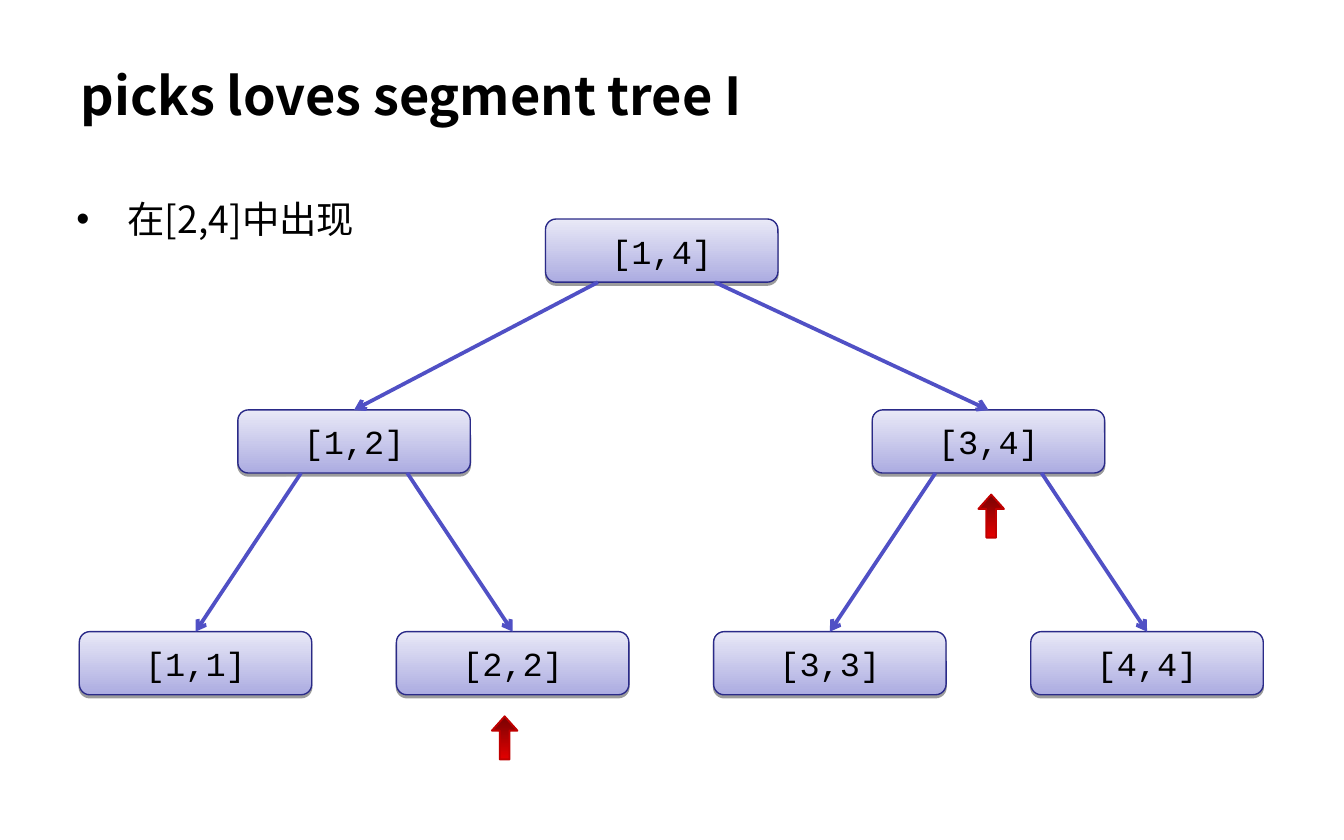
from lxml import etree
from pptx import Presentation
from pptx import util as u
from pptx.dml.color import RGBColor
from pptx.enum import shapes, text
from pptx.oxml import ns

SLIDE_W, SLIDE_H = 10, 6.25
NODE_W, NODE_H = 1.73, 0.47
FIRST_LEFT, COLUMN_STEP = 0.59, 2.36
ROW_TOPS = (1.63, 3.05, 4.7)
MARKER_W, MARKER_H, MARKER_GAP = 0.19, 0.32, 0.16
SANS, MONO = "Noto Sans CJK SC", "Courier New"
BLACK, EDGE, BRANCH, MARKER_EDGE = "000000", "2A2A88", "5050C5", "C00000"
NODE_SHADES, MARKER_SHADES = ("ACACE1", "E9E9F7"), ("760303", "E30000")

NODES = {
    "[1,4]": (1.47, 0),
    "[1,2]": (0.5, 1),
    "[3,4]": (2.5, 1),
    "[1,1]": (0, 2),
    "[2,2]": (1, 2),
    "[3,3]": (2, 2),
    "[4,4]": (3, 2),
}
CHILDREN = {
    "[1,4]": ("[1,2]", "[3,4]"),
    "[1,2]": ("[1,1]", "[2,2]"),
    "[3,4]": ("[3,3]", "[4,4]"),
}
BRANCH_STARTS = {0: (0.39, 1.26), 1: (0.47, 1.26)}
MARKERS = {"[2,2]": 0.71, "[3,4]": 0.79}


def color(value):
    """Turn a hex string into a colour."""
    return RGBColor.from_string(value)


def inches(*lengths):
    """Turn lengths in inches into slide units."""
    return [u.Inches(length) for length in lengths]


def add_xml(parent, tag, **attributes):
    """Append a drawing element with its attributes."""
    return etree.SubElement(parent, ns.qn(tag), attributes)


def apply(target, values):
    """Set attributes from a dict of format values."""
    for name, value in values.items():
        setattr(target, name, value)


def write(frame, words, size, face, align, bold=False, anchor=text.MSO_ANCHOR.MIDDLE):
    """Write one formatted paragraph into a text frame."""
    apply(frame, {"word_wrap": True, "auto_size": text.MSO_AUTO_SIZE.NONE,
                  "vertical_anchor": anchor})
    paragraph = frame.paragraphs[0]
    paragraph.alignment = align
    run = paragraph.add_run()
    run.text = words
    apply(run.font, {"size": u.Pt(size), "name": face, "bold": bold})
    run.font.color.rgb = color(BLACK)
    add_xml(run.font._element, "a:ea", typeface=face)
    return paragraph


def paint(shape, shades, angle, edge, width):
    """Give a shape a two-stop gradient and an outline without a shadow."""
    shape.fill.gradient()
    shape.fill.gradient_angle = angle
    for stop, shade in zip(shape.fill.gradient_stops, shades):
        stop.color.rgb = color(shade)
    shape.line.color.rgb = color(edge)
    shape.line.width = u.Pt(width)
    shape.shadow.inherit = False


def add_title(slide, words):
    """Place and fill the title."""
    title = slide.shapes.title
    place = inches(0.05 * SLIDE_W, 0.04 * SLIDE_H, 0.9 * SLIDE_W, 0.91)
    apply(title, dict(zip(("left", "top", "width", "height"), place)))
    write(title.text_frame, words, 28, SANS, text.PP_ALIGN.LEFT, bold=True)


def add_bullet(slide, words):
    """Add the bulleted remark beside the tree."""
    remark = slide.shapes.add_textbox(*inches(0.47, 1.41, 2.48, 4.27))
    paragraph = write(remark.text_frame, words, 20, SANS, text.PP_ALIGN.LEFT,
                      anchor=text.MSO_ANCHOR.TOP)
    paragraph.space_before = u.Pt(5)
    properties = paragraph._p.get_or_add_pPr()
    indent = u.Inches(0.38)
    properties.set("marL", str(indent))
    properties.set("indent", str(-indent))
    add_xml(properties, "a:buFont", typeface="Arial")
    add_xml(properties, "a:buChar", char="•")


def add_node(slide, label, column, row):
    """Add one tree node on the column and row grid."""
    place = inches(FIRST_LEFT + column * COLUMN_STEP, ROW_TOPS[row], NODE_W, NODE_H)
    node = slide.shapes.add_shape(shapes.MSO_SHAPE.ROUNDED_RECTANGLE, *place)
    paint(node, NODE_SHADES, 90, EDGE, 0.75)
    effects = node._element.spPr.find(ns.qn("a:effectLst"))
    shadow = add_xml(effects, "a:outerShdw", blurRad="0", dist=str(u.Pt(1.6)),
                     dir="5400000", rotWithShape="0")
    shade = add_xml(shadow, "a:srgbClr", val=BLACK)
    add_xml(shade, "a:alpha", val="38000")
    write(node.text_frame, label, 18, MONO, text.PP_ALIGN.CENTER)
    return node


def add_branch(slide, parent, child, offset):
    """Draw an arrow from a parent's lower edge to the top of a child."""
    start = parent.left + u.Inches(offset), parent.top + parent.height
    end = child.left + child.width // 2, child.top
    branch = slide.shapes.add_connector(shapes.MSO_CONNECTOR.STRAIGHT, *start, *end)
    branch.end_connect(child, 0)
    branch.line.color.rgb = color(BRANCH)
    branch.line.width = u.Pt(2)
    add_xml(branch.line._get_or_add_ln(), "a:tailEnd", type="arrow")
    add_xml(branch._element.spPr, "a:effectLst")


def add_marker(slide, node, offset):
    """Add a red arrow pointing up at a node."""
    left = node.left + u.Inches(offset)
    top = node.top + node.height + u.Inches(MARKER_GAP)
    marker = slide.shapes.add_shape(shapes.MSO_SHAPE.UP_ARROW, left, top,
                                    *inches(MARKER_W, MARKER_H))
    marker.adjustments[0], marker.adjustments[1] = 0.38, 0.56
    paint(marker, MARKER_SHADES, 270, MARKER_EDGE, 1)


def main():
    """Build the segment tree slide."""
    deck = Presentation()
    deck.slide_width, deck.slide_height = inches(SLIDE_W, SLIDE_H)
    slide = deck.slides.add_slide(deck.slide_layouts[5])
    add_title(slide, "picks loves segment tree I")
    nodes = {label: add_node(slide, label, *cell) for label, cell in NODES.items()}
    for parent, children in CHILDREN.items():
        for child, offset in zip(children, BRANCH_STARTS[NODES[parent][1]]):
            add_branch(slide, nodes[parent], nodes[child], offset)
    add_bullet(slide, "在[2,4]中出现")
    for label, offset in MARKERS.items():
        add_marker(slide, nodes[label], offset)
    deck.save("out.pptx")


if __name__ == "__main__":
    main()
